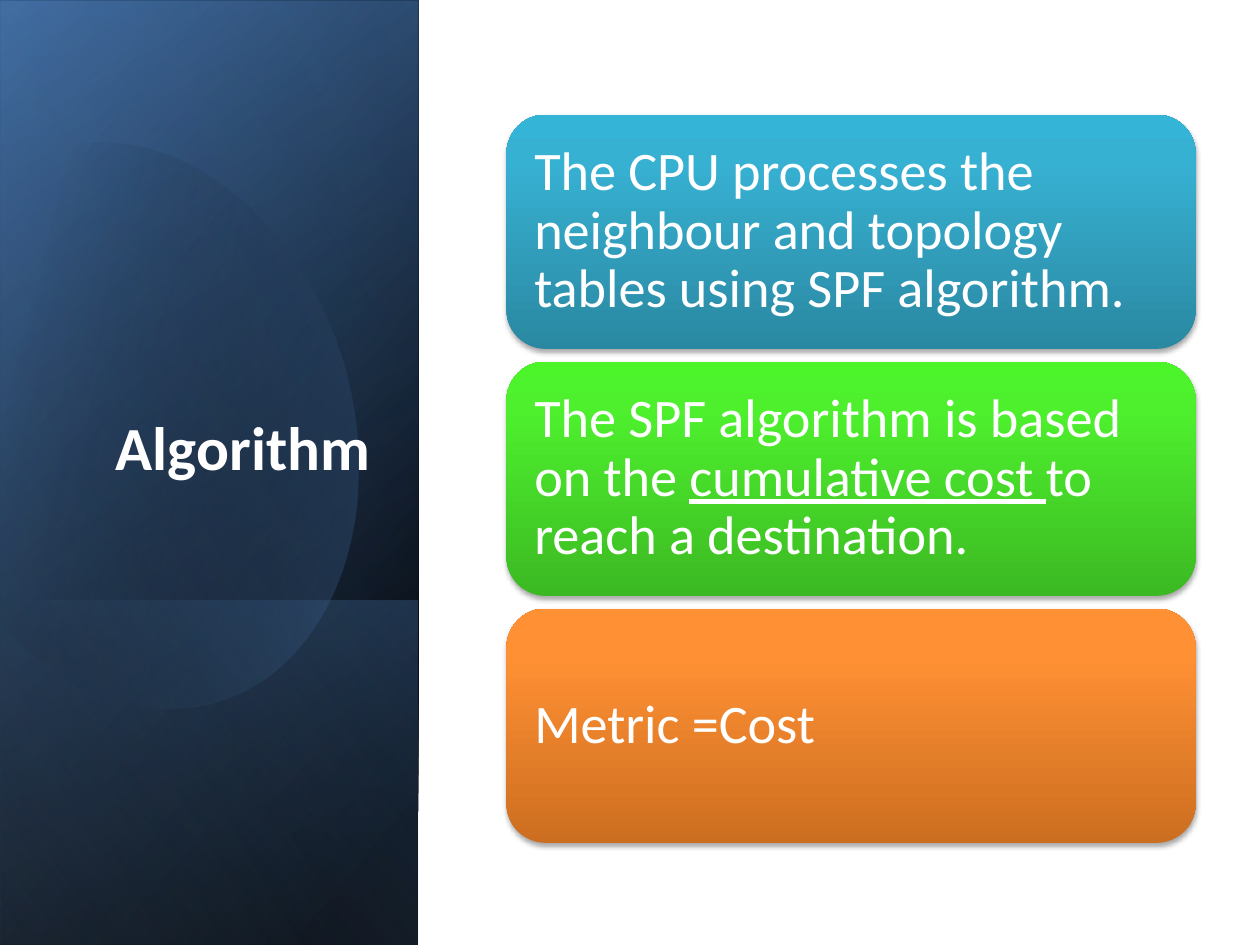
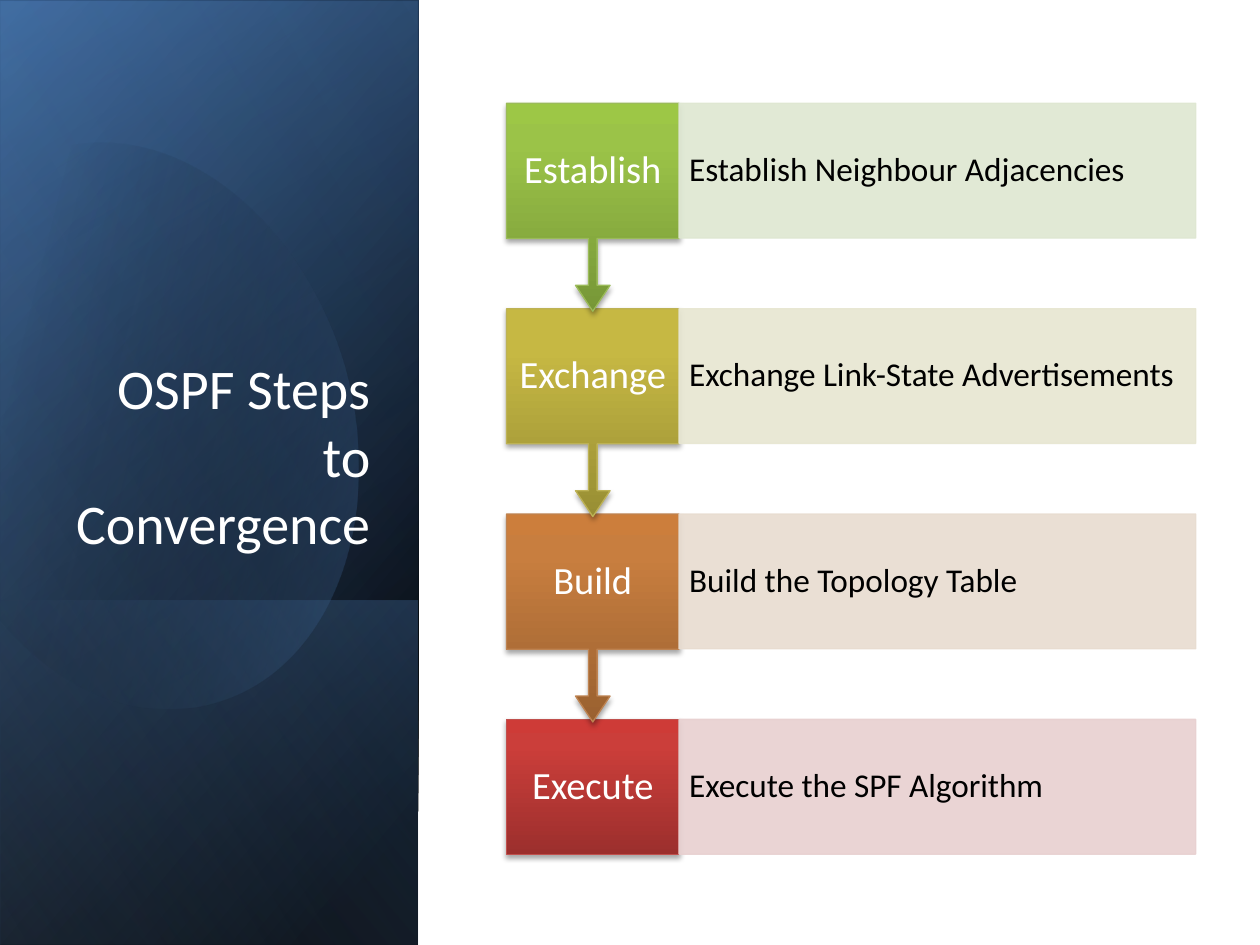
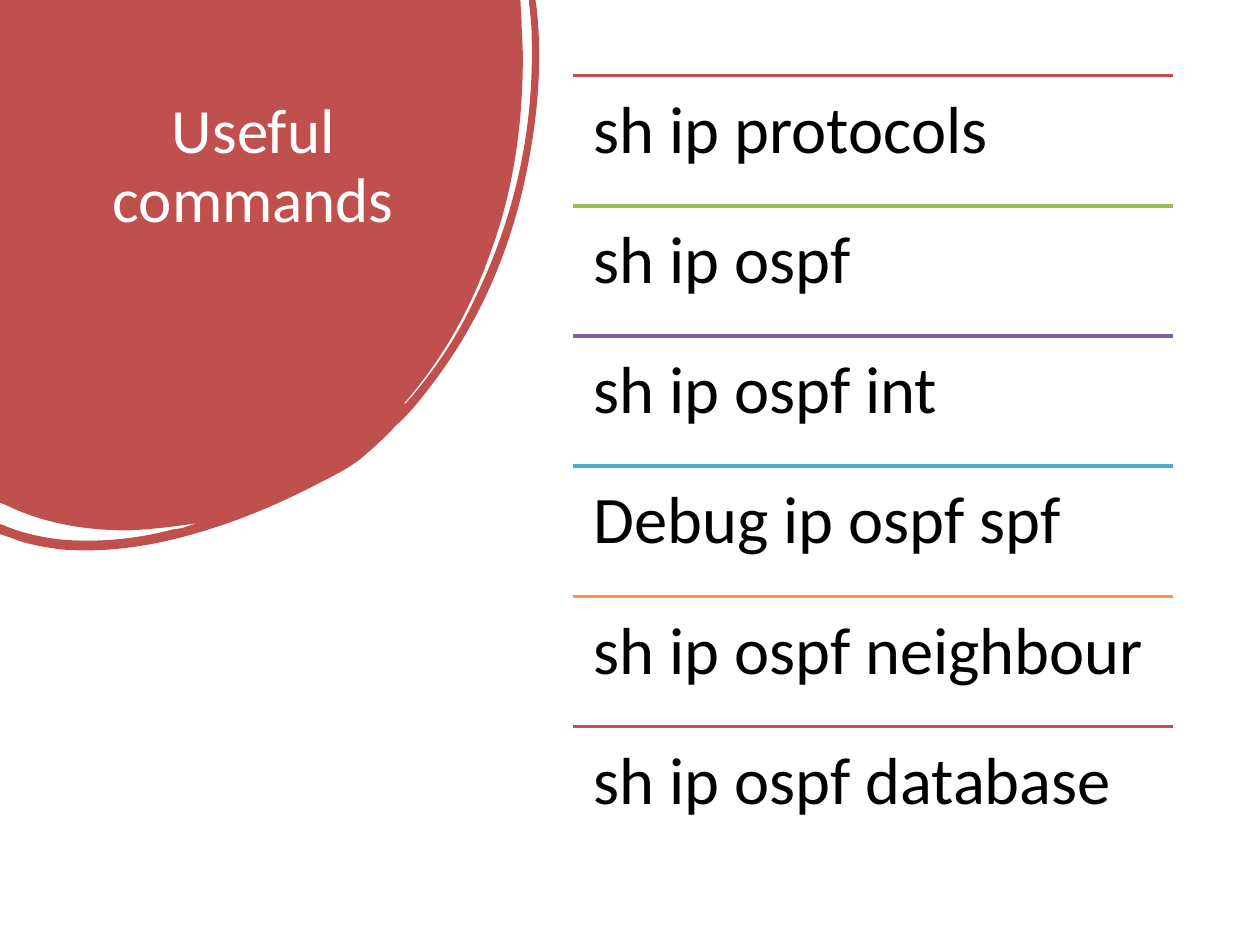
import math

import pptx
import pptx.dml.color
import pptx.enum.shapes
import pptx.enum.text
import pptx.oxml
import pptx.oxml.ns
import pptx.util
from lxml import etree

Inches = pptx.util.Inches
Pt = pptx.util.Pt
RGBColor = pptx.dml.color.RGBColor
Preset = pptx.enum.shapes.MSO_SHAPE
Align = pptx.enum.text.PP_ALIGN
Anchor = pptx.enum.text.MSO_ANCHOR
qn = pptx.oxml.ns.qn

FONT = "Calibri"
WHITE = RGBColor(0xFF, 0xFF, 0xFF)
BLACK = RGBColor(0x00, 0x00, 0x00)
BLUE = RGBColor(0x4F, 0x81, 0xBD)
DARK_BLUE = RGBColor(0x37, 0x60, 0x92)
PALE_BLUE = RGBColor(0x95, 0xB3, 0xD7)
RED = RGBColor(0xC0, 0x50, 0x4D)
GREEN = RGBColor(0x9B, 0xBB, 0x59)
PURPLE = RGBColor(0x80, 0x64, 0xA2)
AQUA = RGBColor(0x4B, 0xAC, 0xC6)
ORANGE = RGBColor(0xF7, 0x96, 0x46)
OLIVE = RGBColor(0xBD, 0xB2, 0x55)
BROWN = RGBColor(0xBE, 0x83, 0x51)


def shades(*codes):
    """Bottom-to-top gradient stops of a glossy box."""
    return [(place, RGBColor.from_string(code), 100)
            for place, code in zip((0, 80, 100), codes)]


# Algorithm: text, underlined part, gradient
FACTS = [
    ("The CPU processes the neighbour and topology tables using SPF algorithm.", "",
     shades("2A88A2", "37B1D2", "34B4D6")),
    ("The SPF algorithm is based on the cumulative cost to reach a destination.",
     "cumulative cost ", shades("3CB923", "4EF02E", "4CF52A")),
    ("Metric =Cost", "", shades("CC6E20", "FF9034", "FF9136")),
]

# Convergence: step, detail, gradient, outline, tint
STEPS = [
    ("Establish", "Establish Neighbour Adjacencies",
     shades("779737", "9BC348", "9DC746"), GREEN, RGBColor(0xDE, 0xE7, 0xD1)),
    ("Exchange", "Exchange Link-State Advertisements",
     shades("988E34", "C6B843", "C9BB41"), OLIVE, RGBColor(0xE7, 0xE6, 0xD1)),
    ("Build", "Build the Topology Table",
     shades("9A6130", "C87E3F", "CC7E3C"), BROWN, RGBColor(0xE8, 0xDC, 0xD0)),
    ("Execute", "Execute the SPF Algorithm",
     shades("9C2F2D", "CB3E3A", "CE3B37"), RED, RGBColor(0xE8, 0xD0, 0xD0)),
]

COMMANDS = [
    ("sh ip protocols", RED),
    ("sh ip ospf", GREEN),
    ("sh ip ospf int", PURPLE),
    ("Debug ip ospf spf", AQUA),
    ("sh ip ospf neighbour", ORANGE),
    ("sh ip ospf database", RED),
]

# Side panel layers: left, top, width, height, gradient (place, colour, opacity), angle
FULL_LAYER = (-2.09, 2.09, 7.5, 3.32)
LAYERS_BELOW = [
    (FULL_LAYER, [(8, BLACK, 100), (100, DARK_BLUE, 100)], 50),
    ((-2.09, 2.11, 7.5, 3.31), [(0, BLACK, 0), (99, BLUE, 46)], 30),
    ((0.29, 4.48, 2.74, 3.31), [(2, BLUE, 29), (100, BLACK, 30)], 130),
]
LAYER_ABOVE = (FULL_LAYER, [(0, BLACK, 0), (99, PALE_BLUE, 11)], 120)

# Outlines in inches: a pair is a line's end, six numbers are a curve
OVAL_FRAME = (-0.41, 1.06, 3.2, 4.57)
OVAL_TURN = 343.9
OVAL = [
    (0.96, 1.14), (1.71, 1.22, 2.44, 1.92, 2.73, 2.9), (3.07, 4.12, 2.62, 5.31, 1.71, 5.57),
    (1.14, 5.74, 0.53, 5.5, 0.07, 5), (-0.03, 4.88), (-0.25, 1.66), (-0.15, 1.54),
    (0.02, 1.37, 0.22, 1.25, 0.45, 1.18), (0.62, 1.13, 0.79, 1.12, 0.96, 1.14),
]
CORNER_FRAME = (0, 0, 4.28, 4.37)
BRUSHED_CORNER = [
    (0, 0), (4.13, 0), (4.14, 0.17), (4.14, 0.26, 4.15, 0.36, 4.15, 0.45),
    (4.15, 1.01, 4.07, 1.54, 3.88, 2.04), (3.72, 2.49, 3.49, 2.88, 3.2, 3.21),
    (3.22, 3.21, 3.23, 3.19, 3.24, 3.18), (3.44, 2.95, 3.62, 2.69, 3.76, 2.39),
    (4.07, 1.76, 4.24, 1.07, 4.22, 0.3), (4.22, 0.21, 4.21, 0.12, 4.2, 0.03),
    (4.2, 0), (4.25, 0), (4.26, 0.07), (4.31, 0.54, 4.26, 1.02, 4.15, 1.5),
    (4, 2.14, 3.73, 2.68, 3.36, 3.14), (3.29, 3.23, 3.22, 3.31, 3.14, 3.38),
    (3.07, 3.46, 2.99, 3.53, 2.9, 3.61), (2.81, 3.69, 2.7, 3.75, 2.58, 3.81),
    (2.24, 3.99, 1.89, 4.14, 1.53, 4.24), (1.18, 4.34, 0.83, 4.39, 0.47, 4.36),
    (0.34, 4.34, 0.21, 4.32, 0.09, 4.27), (0, 4.24), (0, 4.16), (0.03, 4.17),
    (0.17, 4.23, 0.31, 4.26, 0.46, 4.28), (0.77, 4.31, 1.08, 4.28, 1.38, 4.2),
    (1.41, 4.2, 1.45, 4.19, 1.48, 4.18), (1.51, 4.17, 1.54, 4.16, 1.58, 4.15),
    (1.39, 4.18, 1.21, 4.2, 1.02, 4.21), (0.69, 4.21, 0.36, 4.16, 0.05, 4.01), (0, 3.99),
]


def set_place(shape, place):
    shape.left, shape.top, shape.width, shape.height = map(Inches, place)


def turn_outline(outline, frame, degrees):
    """Turn every point about the centre of the frame."""
    left, top, width, height = frame
    cx, cy = left + width / 2, top + height / 2
    cos, sin = math.cos(math.radians(degrees)), math.sin(math.radians(degrees))
    turned = []
    for part in outline:
        points = zip(part[::2], part[1::2])
        turned.append(tuple(value for x, y in points for value in (
            cx + (x - cx) * cos - (y - cy) * sin, cy + (x - cx) * sin + (y - cy) * cos)))
    return turned


def add_outline(slide, outline, frame):
    """Freeform through the ends of all parts, with its curves put in afterwards."""
    ends = [(Inches(part[-2]), Inches(part[-1])) for part in outline]
    builder = slide.shapes.build_freeform(*ends[0])
    builder.add_line_segments(ends[1:])
    shape = builder.convert_to_shape()
    set_place(shape, frame)
    left, top, width, height = frame
    track = shape.element.spPr.find(".//" + qn("a:path"))
    track.set("w", str(Inches(width)))
    track.set("h", str(Inches(height)))
    for step, part in zip(list(track), outline):
        tag = qn("a:cubicBezTo") if len(part) == 6 else step.tag
        drawn = track.makeelement(tag)
        for x, y in zip(part[::2], part[1::2]):
            etree.SubElement(drawn, qn("a:pt"), x=str(Inches(x - left)), y=str(Inches(y - top)))
        track.replace(step, drawn)
    return shape


def add_preset(slide, preset, place):
    return slide.shapes.add_shape(preset, *map(Inches, place))


def paint(shape, gradient=None, angle=270, solid=None, outline=None, opacity=100, shadow=False):
    """Set fill, line and shadow; angle is clockwise."""
    properties = shape.element.spPr
    if gradient:
        shape.fill.gradient()
        shape.fill.gradient_angle = 360 - angle
        stops = properties.find(".//" + qn("a:gsLst"))
        for stop in list(stops):
            stops.remove(stop)
        for place, colour, alpha in gradient:
            stop = etree.SubElement(stops, qn("a:gs"), pos=str(place * 1000))
            value = etree.SubElement(stop, qn("a:srgbClr"), val=str(colour))
            if alpha < 100:
                etree.SubElement(value, qn("a:alpha"), val=str(alpha * 1000))
    else:
        shape.fill.solid()
        shape.fill.fore_color.rgb = solid
    if outline is None:
        shape.line.fill.background()
    else:
        shape.line.color.rgb = outline
        shape.line.width = Pt(0.75)
    if opacity < 100:
        for value in properties.iter(qn("a:srgbClr")):
            etree.SubElement(value, qn("a:alpha"), val=str(opacity * 1000))
    shape.shadow.inherit = False
    if shadow:
        cast = etree.SubElement(properties.find(qn("a:effectLst")), qn("a:outerShdw"),
                                blurRad=str(Pt(3.1)), dist=str(Pt(1.8)), dir="5400000",
                                rotWithShape="0")
        value = etree.SubElement(cast, qn("a:srgbClr"), val=str(BLACK))
        etree.SubElement(value, qn("a:alpha"), val="35000")


def write(shape, text, size, colour=WHITE, bold=False, underlined="", align=Align.LEFT,
          anchor=Anchor.MIDDLE, spacing=0.9, insets=(0.1, 0.05, 0.1, 0.05)):
    frame = shape.text_frame
    frame.word_wrap = True
    frame.auto_size = pptx.enum.text.MSO_AUTO_SIZE.NONE
    frame.vertical_anchor = anchor
    (frame.margin_left, frame.margin_top,
     frame.margin_right, frame.margin_bottom) = map(Inches, insets)
    paragraph = frame.paragraphs[0]
    paragraph.alignment = align
    paragraph.line_spacing = spacing
    for piece in text.partition(underlined) if underlined else [text]:
        run = paragraph.add_run()
        run.text = piece
        run.font.name = FONT
        run.font.size = Pt(size)
        run.font.bold = bold
        run.font.color.rgb = colour
        if piece == underlined:
            run.font.underline = True


def add_title(slide, text, place, size, **style):
    title = slide.shapes.title
    set_place(title, place)
    title.element.getparent().append(title.element)  # in front of the decoration
    write(title, text, size, **style)


def add_layer(slide, place, gradient, angle):
    layer = add_preset(slide, Preset.RECTANGLE, place)
    layer.rotation = 90
    layer.element.spPr.find(qn("a:xfrm")).set("flipH", "1")
    paint(layer, gradient, angle)


def add_panel_slide(deck, text, size, bold=False, bottom=0.05):
    """Slide with the dark blue panel at the left and its title."""
    slide = deck.slides.add_slide(deck.slide_layouts[5])
    for layer in LAYERS_BELOW:
        add_layer(slide, *layer)
    oval = add_outline(slide, turn_outline(OVAL, OVAL_FRAME, -OVAL_TURN), OVAL_FRAME)
    oval.rotation = OVAL_TURN
    paint(oval, [(29, BLACK, 0), (100, BLUE, 43)], 30)
    add_layer(slide, *LAYER_ABOVE)
    add_title(slide, text, (0.48, 1.84, 2.56, 2.62), size, bold=bold, align=Align.RIGHT,
              anchor=Anchor.BOTTOM, spacing=1.0, insets=(0.1, 0.05, 0.1, bottom))
    return slide


def build_algorithm(deck):
    slide = add_panel_slide(deck, "Algorithm", 35, bold=True, bottom=0.63)
    for row, (fact, underlined, gradient) in enumerate(FACTS):
        box = add_preset(slide, Preset.ROUNDED_RECTANGLE, (4.02, 0.91 + 1.96 * row, 5.47, 1.86))
        paint(box, gradient, shadow=True)
        write(box, fact, 31, underlined=underlined, insets=(0.13,) * 4)


def build_convergence(deck):
    slide = add_panel_slide(deck, "OSPF Steps to Convergence", 32)
    left, width, height, arrow_height = 4.02, 1.37, 1.07, 1.65
    # From the last step up, so that each arrow tip lies over the next box
    for row, (step, detail, gradient, outline, tint) in reversed(list(enumerate(STEPS))):
        top = 0.82 + 1.63 * row
        if row == len(STEPS) - 1:
            box = add_preset(slide, Preset.RECTANGLE, (left, top, width, height))
        else:
            box = add_preset(slide, Preset.DOWN_ARROW_CALLOUT, (left, top, width, arrow_height))
            for i, share in enumerate((0.05, 0.1, 0.15, 0.65)):
                box.adjustments[i] = share
        paint(box, gradient, outline=outline, shadow=True)
        write(box, step, 22, align=Align.CENTER, insets=(0.08, 0.17, 0.08, 0.17))
        band = add_preset(slide, Preset.RECTANGLE, (left + width, top, 4.1, height))
        paint(band, solid=tint, outline=tint, opacity=90)
        write(band, detail, 19, colour=BLACK, insets=(0.08, 0.26, 0.08, 0.26))


def build_commands(deck):
    slide = deck.slides.add_slide(deck.slide_layouts[5])
    paint(add_outline(slide, BRUSHED_CORNER, CORNER_FRAME), solid=RED)
    add_title(slide, "Useful commands", (0.69, 0.74, 2.64, 2.22), 36,
              align=Align.CENTER, anchor=Anchor.TOP)
    left, width, pitch = 4.55, 4.76, 6.2 / len(COMMANDS)
    for row, (command, colour) in enumerate(COMMANDS):
        top = 0.6 + pitch * row
        rule = slide.shapes.add_connector(
            pptx.enum.shapes.MSO_CONNECTOR.STRAIGHT,
            Inches(left), Inches(top), Inches(left + width), Inches(top))
        rule.line.color.rgb = colour
        rule.line.width = Pt(2)
        etree.SubElement(rule.element.spPr, qn("a:effectLst"))
        entry = slide.shapes.add_textbox(*map(Inches, (left, top, width, pitch)))
        write(entry, command, 38, colour=BLACK, anchor=Anchor.TOP, insets=(0.16,) * 4)


def main():
    deck = pptx.Presentation()
    deck.slide_width, deck.slide_height = Inches(10), Inches(7.5)
    build_algorithm(deck)
    build_convergence(deck)
    build_commands(deck)
    deck.save("out.pptx")


if __name__ == "__main__":
    main()
